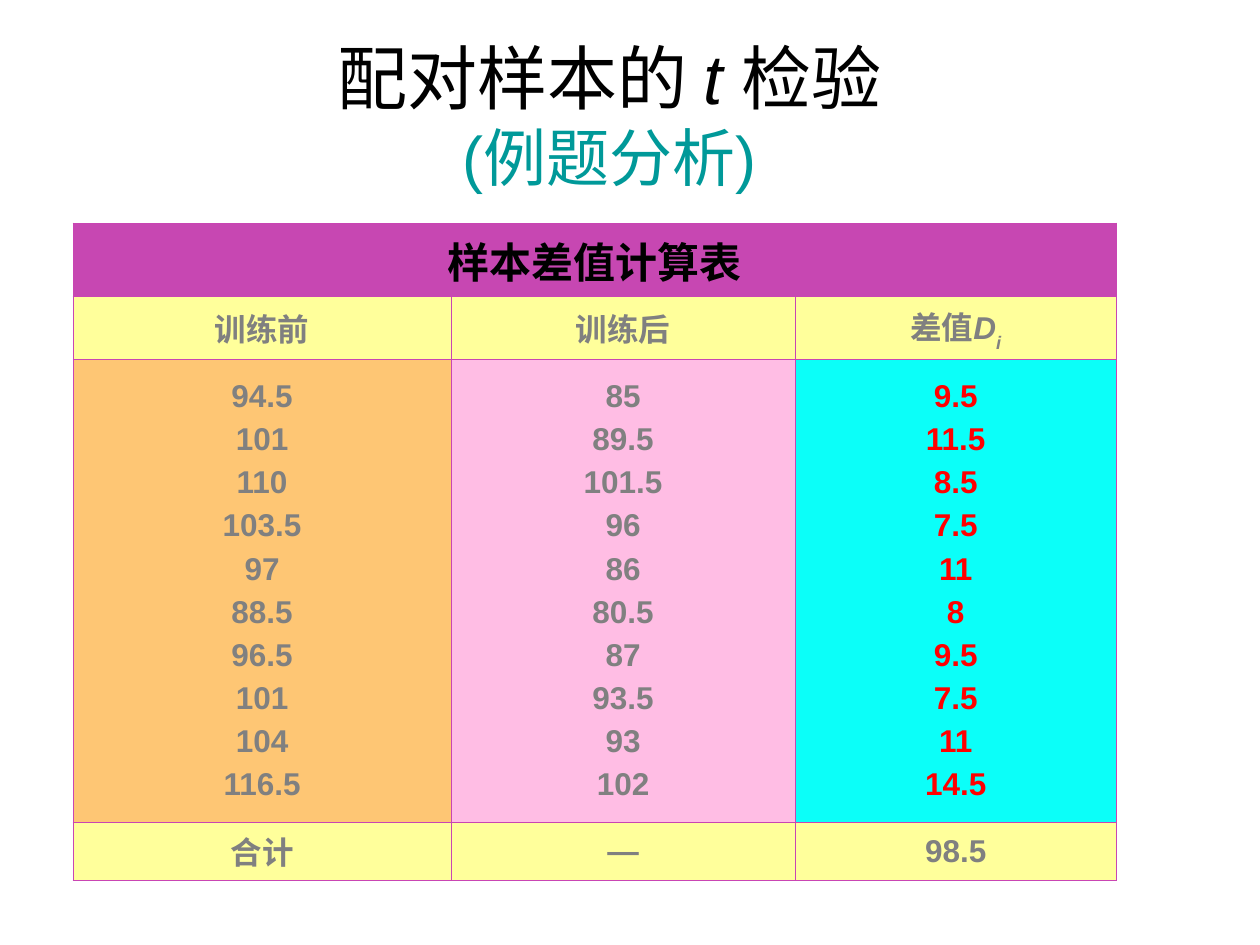
from lxml.etree import SubElement
from pptx import Presentation
from pptx.dml.color import RGBColor
from pptx.enum.text import MSO_ANCHOR, PP_ALIGN
from pptx.oxml.ns import qn
from pptx.util import Inches, Pt

COLORS = {
    "black": "000000", "teal": "009999", "grey": "808080", "red": "FF0000",
    "purple": "C747B2", "border": "C945B3", "yellow": "FFFF9B",
    "orange": "FEC674", "pink": "FFBDE4", "cyan": "0BFFF9",
}
TITLE = [
    [("配对样本的 ", {}), ("t ", {"italic": True}), ("检验", {})],
    [("(例题分析)", {"size": 36, "color": "teal"})],
]
TABLE_TITLE = "样本差值计算表"
HEADERS = ["训练前", "训练后", "差值"]
SYMBOL = [("D", 0), ("i", -30000)]
BEFORE = ["94.5", "101", "110", "103.5", "97", "88.5", "96.5", "101", "104", "116.5"]
AFTER = ["85", "89.5", "101.5", "96", "86", "80.5", "87", "93.5", "93", "102"]
DIFFERENCE = ["9.5", "11.5", "8.5", "7.5", "11", "8", "9.5", "7.5", "11", "14.5"]
TOTALS = ["合计", "—", "98.5"]
DATA_FILLS = ["orange", "pink", "cyan"]
DATA_INKS = ["grey", "grey", "red"]
COLUMN_WIDTHS = [3, 2.73, 2.55]
ROW_HEIGHTS = [0.58, 0.5, 3.67, 0.46]


def rgb(name):
    return RGBColor.from_string(COLORS[name])


def add_span(para, text, size, color, **formats):
    span = para.add_run()
    span.text = text
    values = {"name": "Arial", "size": Pt(size), **formats}
    for name, value in values.items():
        setattr(span.font, name, value)
    span.font.color.rgb = rgb(color)
    return span


def add_borders(cell):
    """Draw a thin line on all four sides, placed before the cell's fill."""
    properties = cell._tc.get_or_add_tcPr()
    for index, side in enumerate(("lnL", "lnR", "lnT", "lnB")):
        line = SubElement(properties, qn(f"a:{side}"), w=str(Pt(0.45)))
        fill = SubElement(line, qn("a:solidFill"))
        SubElement(fill, qn("a:srgbClr"), val=COLORS["border"])
        properties.insert(index, line)


def fill_cell(cell, lines, fill="yellow", color="grey", size=18):
    cell.fill.solid()
    cell.fill.fore_color.rgb = rgb(fill)
    cell.vertical_anchor = MSO_ANCHOR.MIDDLE
    frame = cell.text_frame
    for index, text in enumerate(lines):
        para = frame.add_paragraph() if index else frame.paragraphs[0]
        para.alignment = PP_ALIGN.CENTER
        if index:
            para.space_before = Pt(4.5)
        add_span(para, text, size, color, bold=True)


def add_title(page):
    box = page.shapes.add_textbox(Inches(0.59), Inches(0.28), Inches(8.5), Inches(1.25))
    frame = box.text_frame
    frame.word_wrap = True
    frame.vertical_anchor = MSO_ANCHOR.MIDDLE
    para = frame.paragraphs[0]
    para.alignment = PP_ALIGN.CENTER
    for index, line in enumerate(TITLE):
        if index:
            para.add_line_break()
        for text, formats in line:
            add_span(para, text, **{"size": 40, "color": "black", **formats}) \
                if "italic" not in formats else add_span(para, text, 40, "black", italic=True)


def add_difference_table(page):
    frame = page.shapes.add_table(
        len(ROW_HEIGHTS), len(COLUMN_WIDTHS), Inches(0.58), Inches(1.77),
        Inches(sum(COLUMN_WIDTHS)), Inches(sum(ROW_HEIGHTS)))
    table = frame.table
    table.first_row = table.horz_banding = False
    for column, width in zip(table.columns, COLUMN_WIDTHS):
        column.width = Inches(width)
    for row, height in zip(table.rows, ROW_HEIGHTS):
        row.height = Inches(height)

    table.cell(0, 0).merge(table.cell(0, len(COLUMN_WIDTHS) - 1))
    fill_cell(table.cell(0, 0), [TABLE_TITLE], "purple", "black", 24)
    for column, values in enumerate([BEFORE, AFTER, DIFFERENCE]):
        fill_cell(table.cell(1, column), [HEADERS[column]])
        fill_cell(table.cell(2, column), values, DATA_FILLS[column], DATA_INKS[column])
        fill_cell(table.cell(3, column), [TOTALS[column]])
    para = table.cell(1, 2).text_frame.paragraphs[0]
    for text, baseline in SYMBOL:
        span = add_span(para, text, 18, "grey", bold=True, italic=True)
        if baseline:
            span.font._element.set("baseline", str(baseline))
    for cell in table.iter_cells():
        add_borders(cell)


def main():
    deck = Presentation()
    deck.slide_width, deck.slide_height = Inches(10), Inches(7.5)
    page = deck.slides.add_slide(deck.slide_layouts[6])
    add_difference_table(page)
    add_title(page)
    deck.save("out.pptx")


if __name__ == "__main__":
    main()
